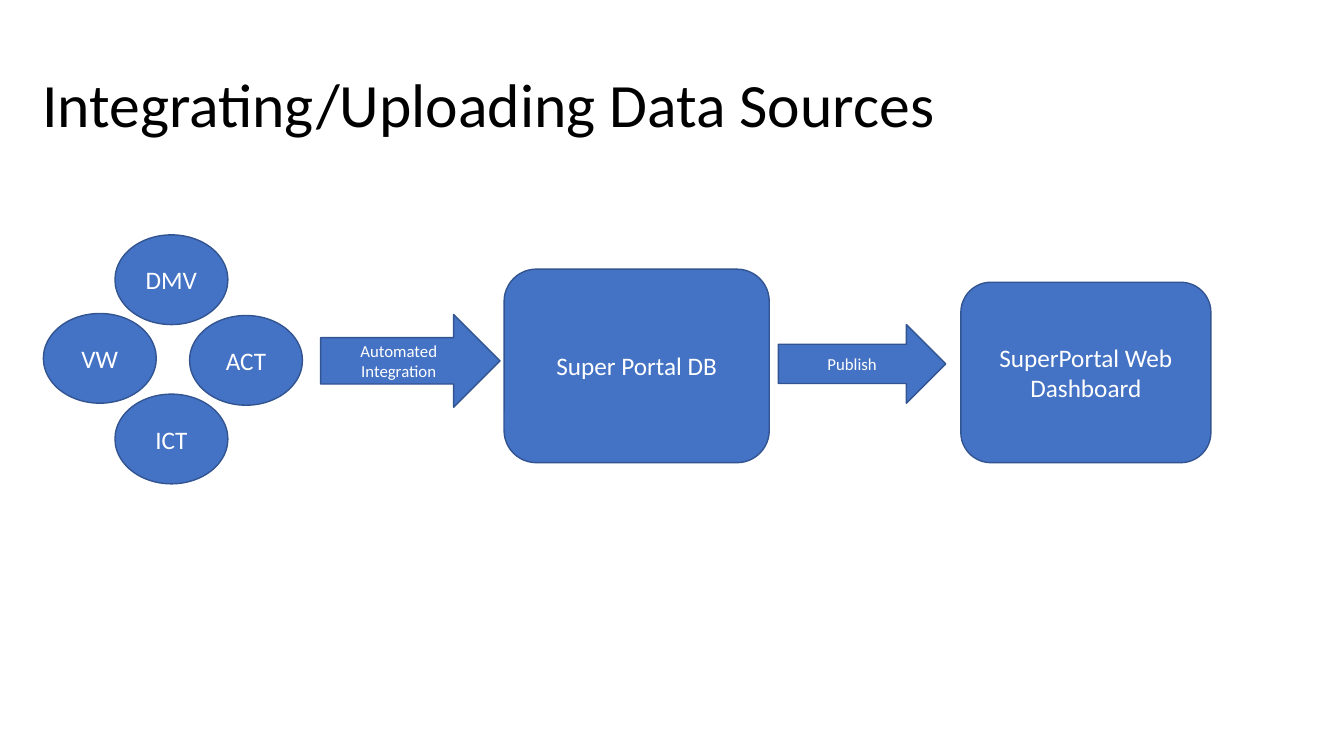
from pptx import Presentation
from pptx.dml.color import RGBColor
from pptx.enum.shapes import MSO_SHAPE as Shape
from pptx.enum.text import MSO_ANCHOR as Anchor, PP_ALIGN as Align
from pptx.util import Inches, Pt

COLORS = {"fill": "4472C4", "outline": "325491", "label": "FFFFFF", "title": "000000"}
FONT = "Calibri"

TITLE = "Integrating/Uploading Data Sources"
TITLE_BOX = (0.32, 0.34, 11.5, 1.45)

SOURCE_SIZE = (1.12, 0.89)
SOURCES = [
    ("DMV", 1.14, 2.33),
    ("VW", 0.43, 3.11),
    ("ACT", 1.88, 3.13),
    ("ICT", 1.14, 3.91),
]
FLOW = [
    ("Automated Integration", Shape.RIGHT_ARROW, (3.18, 3.12, 1.78, 0.92), 12),
    ("Super Portal DB", Shape.ROUNDED_RECTANGLE, (5, 2.67, 2.63, 1.92), 18),
    ("Publish", Shape.RIGHT_ARROW, (7.72, 3.22, 1.66, 0.78), 12),
    ("SuperPortal Web Dashboard", Shape.ROUNDED_RECTANGLE, (9.53, 2.8, 2.48, 1.79), 18),
]


def color(name):
    return RGBColor.from_string(COLORS[name])


def write(frame, text, size, color_name, align):
    frame.word_wrap = True
    frame.vertical_anchor = Anchor.MIDDLE
    frame.text = text
    paragraph = frame.paragraphs[0]
    paragraph.alignment = align
    font = paragraph.runs[0].font
    font.name = FONT
    font.size = Pt(size)
    font.color.rgb = color(color_name)
    return paragraph


def add_step(slide, label, kind, box, size):
    step = slide.shapes.add_shape(kind, *map(Inches, box))
    step.shadow.inherit = False
    step.fill.solid()
    step.fill.fore_color.rgb = color("fill")
    step.line.color.rgb = color("outline")
    step.line.width = Pt(1)
    write(step.text_frame, label, size, "label", Align.CENTER)


def main():
    deck = Presentation()
    deck.slide_width, deck.slide_height = Inches(13.33), Inches(7.5)
    slide = deck.slides.add_slide(deck.slide_layouts[6])

    title = slide.shapes.add_textbox(*map(Inches, TITLE_BOX))
    write(title.text_frame, TITLE, 44, "title", Align.LEFT).line_spacing = 0.9

    for label, left, top in SOURCES:
        add_step(slide, label, Shape.OVAL, (left, top, *SOURCE_SIZE), 18)
    for step in FLOW:
        add_step(slide, *step)

    deck.save("out.pptx")


if __name__ == "__main__":
    main()
